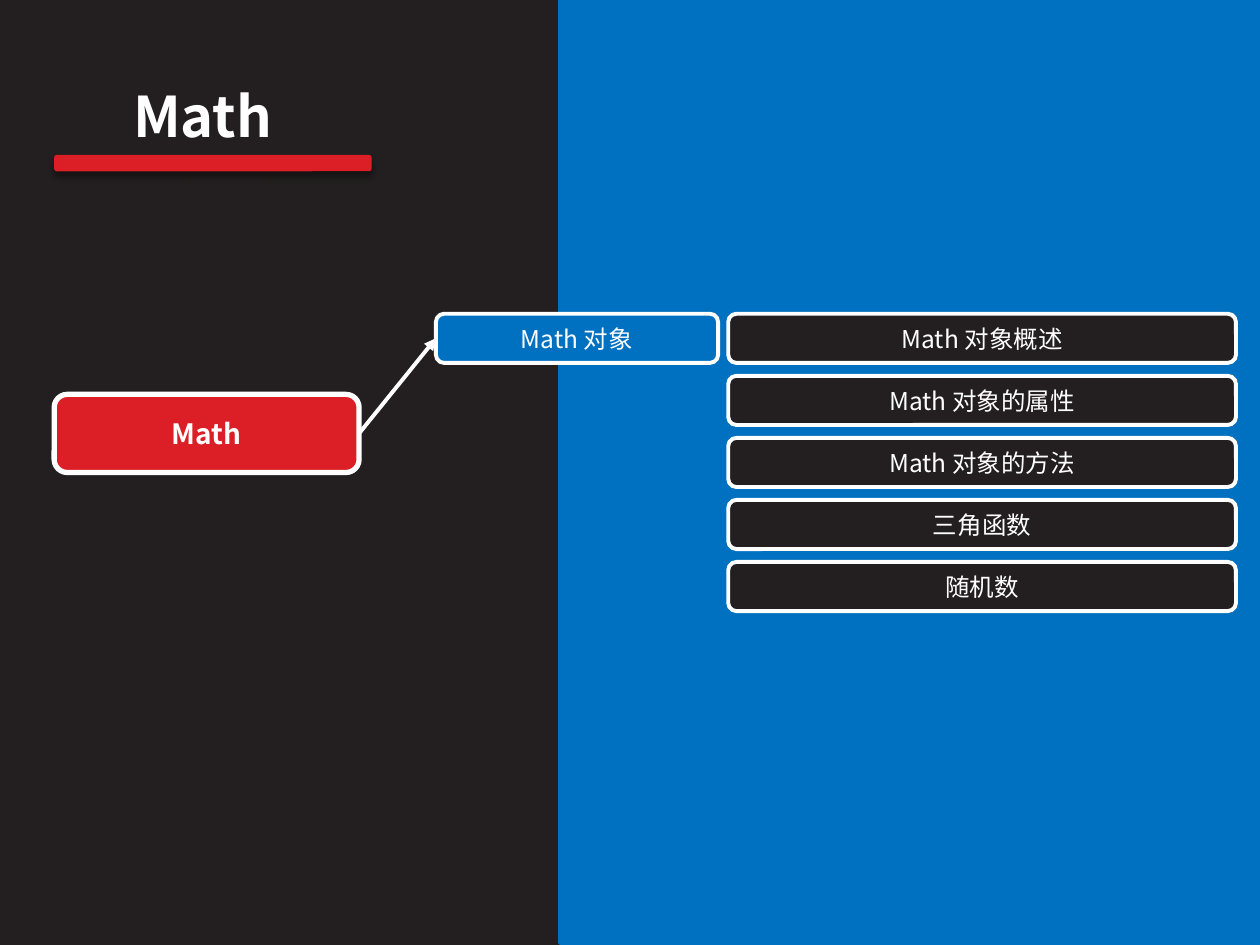
from dataclasses import dataclass

from lxml import etree
from pptx import Presentation
from pptx.dml.color import RGBColor
from pptx.enum.shapes import MSO_CONNECTOR, MSO_SHAPE
from pptx.enum.text import MSO_ANCHOR, PP_ALIGN
from pptx.oxml.ns import qn
from pptx.util import Inches, Pt

RECT, ROUND = MSO_SHAPE.RECTANGLE, MSO_SHAPE.ROUNDED_RECTANGLE
LINE = MSO_CONNECTOR.STRAIGHT
CENTER = PP_ALIGN.CENTER
TOP, MIDDLE = MSO_ANCHOR.TOP, MSO_ANCHOR.MIDDLE
FONT = "Noto Sans CJK SC"
HEX = {"dark": "231F20", "blue": "0070C0", "red": "DC1F26",
       "white": "FFFFFF", "black": "000000"}


@dataclass
class Box:
    left: float
    top: float
    width: float
    height: float
    fill: str
    text: str = ""
    line: str = "white"
    weight: float = 2.25
    size: int = 14
    bold: bool = False
    kind: int = ROUND

    def area(self) -> list:
        return [Inches(v) for v in (self.left, self.top, self.width, self.height)]


def color(name: str) -> RGBColor:
    return RGBColor.from_string(HEX[name])


def write(shape, text: str, *, size: int = 14, bold: bool = False,
          anchor=MIDDLE) -> None:
    frame = shape.text_frame
    frame.word_wrap = True
    frame.vertical_anchor = anchor
    para = frame.paragraphs[0]
    para.alignment = CENTER
    run = para.add_run()
    run.text = text
    font = run.font
    font.name, font.size, font.bold = FONT, Pt(size), bold
    font.color.rgb = color("white")
    etree.SubElement(run._r.get_or_add_rPr(), qn("a:ea"), typeface=FONT)


def draw(shapes, box: Box):
    shape = shapes.add_shape(box.kind, *box.area())
    shape.shadow.inherit = False
    shape.fill.solid()
    shape.fill.fore_color.rgb = color(box.fill)
    if box.line:
        shape.line.color.rgb = color(box.line)
        shape.line.width = Pt(box.weight)
    else:
        shape.line.fill.background()
    if box.text:
        write(shape, box.text, size=box.size, bold=box.bold)
    return shape


def shade(shape) -> None:
    effects = shape._element.spPr.find(qn("a:effectLst"))
    outer = etree.SubElement(effects, qn("a:outerShdw"), blurRad=str(Pt(4)),
                             dist=str(Pt(3)), dir="5400000", rotWithShape="0")
    tint = etree.SubElement(outer, qn("a:srgbClr"), val=HEX["black"])
    etree.SubElement(tint, qn("a:alpha"), val="43000")


def arrow(shapes, start: tuple, end: tuple) -> None:
    link = shapes.add_connector(LINE, *[Inches(v) for v in (*start, *end)])
    link.line.color.rgb = color("white")
    link.line.width = Pt(2.25)
    etree.SubElement(link.line._get_or_add_ln(), qn("a:tailEnd"), type="triangle")
    etree.SubElement(link._element.spPr, qn("a:effectLst"))


deck = Presentation()
deck.slide_width, deck.slide_height = Inches(10), Inches(7.5)
slide = deck.slides.add_slide(deck.slide_layouts[6])
shapes = slide.shapes

# Background and right panel
slide.background.fill.solid()
slide.background.fill.fore_color.rgb = color("dark")
draw(shapes, Box(4.45, 0, 5.55, 7.48, "blue", line="blue", weight=3, kind=RECT))

# Title with its bar
head = shapes.add_group_shape().shapes
title = head.add_textbox(Inches(-0.2), Inches(0.6), Inches(3.62), Inches(0.71))
write(title, "Math", size=32, bold=True, anchor=TOP)
shade(draw(head, Box(0.43, 1.23, 2.52, 0.13, "red", line="")))

# Root and branch
root = Box(0.43, 3.13, 2.42, 0.62, "red", "Math", weight=3, size=16, bold=True)
branch = Box(3.46, 2.49, 2.24, 0.39, "blue", "Math 对象")
draw(shapes, root)
draw(shapes, branch)

# Topics, evenly spaced from the branch down to the last row
TOPICS = ["Math 对象概述", "Math 对象的属性", "Math 对象的方法", "三角函数", "随机数"]
LAST = 4.46
step = (LAST - branch.top) / (len(TOPICS) - 1)
for i, topic in enumerate(TOPICS):
    draw(shapes, Box(5.78, branch.top + i * step, 4.03, branch.height, "dark", topic))

# Arrow from root to branch
arrow(shapes, (root.left + root.width, root.top + root.height / 2),
      (branch.left, branch.top + branch.height / 2))

deck.save("out.pptx")
